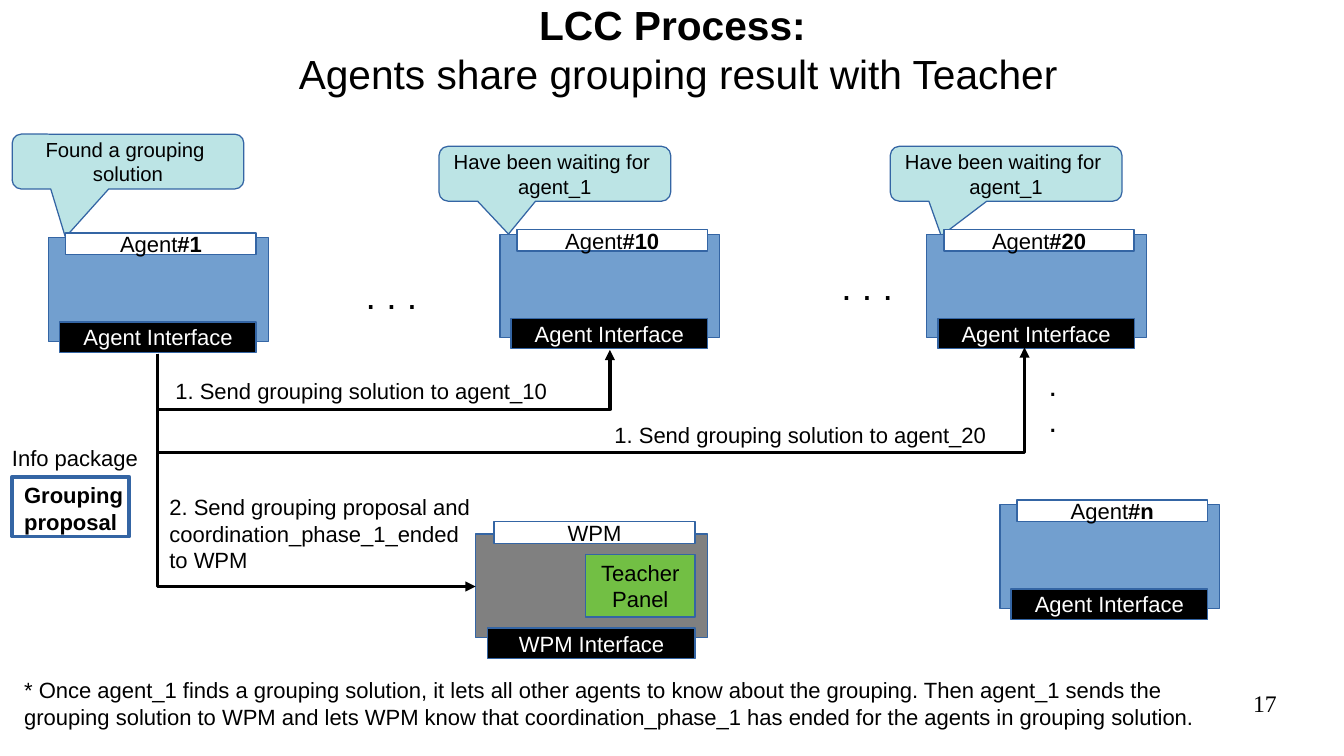
from dataclasses import dataclass

from lxml import etree
from pptx import Presentation
from pptx import util as u
from pptx.dml.color import RGBColor
from pptx.enum import shapes, text
from pptx.oxml import ns

I = u.Inches
SHAPE, ALIGN, ANCHOR = shapes.MSO_SHAPE, text.PP_ALIGN, text.MSO_ANCHOR


@dataclass(frozen=True)
class Theme:
    """Colours, fonts and type sizes of the slide."""
    ink: str = "000000"
    paper: str = "FFFFFF"
    outline: str = "3465A4"
    agent: str = "729FCF"
    bubble: str = "BCE4E5"
    wpm: str = "808080"
    panel: str = "72BF44"
    font: str = "Arial"
    number_font: str = "Times New Roman"
    title: int = 24
    dots: int = 22
    side_dots: int = 18
    number: int = 14
    body: int = 13
    bubble_text: int = 12


T = Theme()


def write(tf, content, size=T.body, color=T.ink, font=T.font, bold=False,
          align=ALIGN.LEFT, **frame):
    """Fill a text frame, one paragraph per line; a line may be (text, bold) runs."""
    for name, value in {"auto_size": text.MSO_AUTO_SIZE.NONE, "word_wrap": True, **frame}.items():
        setattr(tf, name, value)
    lines = content.split("\n") if isinstance(content, str) else content
    for i, line in enumerate(lines):
        p = tf.paragraphs[0] if i == 0 else tf.add_paragraph()
        p.alignment = align
        for words, strong in [(line, bold)] if isinstance(line, str) else line:
            r = p.add_run()
            r.text = words
            for name, value in {"name": font, "size": u.Pt(size), "bold": strong}.items():
                setattr(r.font, name, value)
            r.font.color.rgb = RGBColor.from_string(color)


def label(s, box, content, **style):
    """Add a plain text box."""
    write(s.shapes.add_textbox(*map(I, box)).text_frame, content, **style)


def block(s, box, fill, content=None, kind=SHAPE.RECTANGLE, weight=0, **style):
    """Add an outlined shape with optional centred text."""
    sp = s.shapes.add_shape(kind, *map(I, box))
    sp.shadow.inherit = False
    sp.fill.solid()
    sp.fill.fore_color.rgb = RGBColor.from_string(fill)
    sp.line.color.rgb = RGBColor.from_string(T.outline)
    sp.line.width = u.Pt(weight)
    if content:
        write(sp.text_frame, content, align=ALIGN.CENTER, word_wrap=False,
              vertical_anchor=ANCHOR.MIDDLE, **style)
    return sp


def route(s, start, end, low=None):
    """Draw an elbow arrow leaving downwards; low is the level of a U-shaped turn."""
    (x1, y1), (x2, y2) = start, end
    cx, cy, run, rise = (x1 + x2) / 2, (y1 + y2) / 2, x2 - x1, abs(y2 - y1)
    tilt = run / 2 if low else -run / 2
    ends = cx + rise / 2, cy + tilt, cx - rise / 2, cy - tilt
    line = s.shapes.add_connector(shapes.MSO_CONNECTOR.ELBOW, *map(I, ends))
    line.line.color.rgb = RGBColor.from_string(T.ink)
    line.line.width = u.Pt(0)
    props = line._element.spPr
    props.find(ns.qn("a:xfrm")).set("rot", str((90 if low else 270) * 60000))
    geometry = props.find(ns.qn("a:prstGeom"))
    if low:
        guides = geometry.find(ns.qn("a:avLst"))
        if guides is None:
            guides = etree.SubElement(geometry, ns.qn("a:avLst"))
        turn = round((y1 - low) / rise * 100000)
        etree.SubElement(guides, ns.qn("a:gd"), name="adj1", fmla=f"val {turn}")
    else:
        geometry.set("prst", "bentConnector2")
    etree.SubElement(props.find(ns.qn("a:ln")), ns.qn("a:tailEnd"), type="triangle")
    etree.SubElement(props, ns.qn("a:effectLst"))


def heading(s, box):
    """Place the two-line title."""
    title = s.shapes.title
    for name, value in zip(("left", "top", "width", "height"), box):
        setattr(title, name, I(value))
    write(title.text_frame, [[("LCC Process: ", True)],
                             "Agents share grouping result with Teacher"],
          size=T.title, align=ALIGN.CENTER, vertical_anchor=ANCHOR.MIDDLE,
          margin_left=0, margin_right=0, margin_top=0, margin_bottom=0)


def bubble(s, box, content, tip):
    """Add a speech bubble whose tip is a fraction of its size from its centre."""
    sp = block(s, box, T.bubble, content, SHAPE.ROUNDED_RECTANGULAR_CALLOUT, size=T.bubble_text)
    sp.adjustments[0], sp.adjustments[1] = tip


def agent(s, box, number):
    """Add an agent with its name strip and interface bar."""
    x, y, w, h = box
    block(s, box, T.agent)
    block(s, (x + .14, y - .04, w - .24, .18), T.paper, [[("Agent", False), (number, True)]])
    block(s, (x + .09, y + h - .16, w - .19, .25), T.ink, "Agent Interface", color=T.paper)


def wpm(s, box):
    """Add the WPM with its name strip, teacher panel and interface bar."""
    x, y, w, h = box
    block(s, box, T.wpm)
    block(s, (x + .15, y - .1, w - .25, .18), T.paper, "WPM")
    block(s, (x + w - 1, y + .17, .9, .51), T.panel, "Teacher\nPanel")
    block(s, (x + .1, y + h - .08, w - .2, .25), T.ink, "WPM Interface", color=T.paper)


def info_package(s, box):
    """Add the captioned package that is sent."""
    x, y, w, h = box
    block(s, box, T.paper, weight=2.3)
    label(s, (x, y - .01, w + .2, h), "Grouping\nproposal", bold=True)
    label(s, (x - .1, y - .31, w + .4, .3), "Info package")


def messages(s, source):
    """Draw the message routes from the first agent's interface and their captions."""
    x, y = source
    route(s, source, (3.9, 4.81))
    route(s, source, (8.4, 2.85), low=3.71)
    route(s, source, (5, 2.87), low=3.36)
    label(s, (x + .05, y + .15, 4.53, .3), "1. Send grouping solution to agent_10")
    label(s, (x + 3.65, y + .51, 4.53, .3), "1. Send grouping solution to agent_20")
    label(s, (x, y + 1.1, 2.71, .7),
          "2. Send grouping proposal and\ncoordination_phase_1_ended\nto WPM")


def footer(s, box):
    """Add the footnote and the page number."""
    x, y, w, h = box
    label(s, box, "* Once agent_1 finds a grouping solution, it lets all other agents to know "
          "about the grouping. Then agent_1 sends the\ngrouping solution to WPM and lets WPM know "
          "that coordination_phase_1 has ended for the agents in grouping solution.")
    label(s, (x + w - 3.12, y + .15, 2.57, .43), "17", size=T.number, font=T.number_font,
          align=ALIGN.RIGHT, margin_left=0, margin_right=0, margin_top=0, margin_bottom=0)


def main():
    """Build and save the slide."""
    prs = Presentation()
    prs.slide_width, prs.slide_height = I(11.02), I(6.2)
    s = prs.slides.add_slide(prs.slide_layouts[5])
    heading(s, (.6, 0, 9.92, .8))
    waiting = "Have been waiting for \nagent_1"
    for x, y, content, tip in ((.1, 1.1, "Found a grouping \nsolution", (-.27, 1.38)),
                               (3.6, 1.2, waiting, (-.2, 1.1)),
                               (7.3, 1.2, waiting, (-.28, 1.13))):
        bubble(s, (x, y, 1.9, .45), content, tip)
    wpm(s, (3.9, 4.38, 1.9, .85))
    info_package(s, (.1, 3.91, .96, .49))
    for x, y, number in ((.4, 1.95, "#1"), (4.1, 1.92, "#10"),
                         (7.6, 1.92, "#20"), (8.2, 4.14, "#n")):
        agent(s, (x, y, 1.8, .85), number)
    for x, y in ((2.9, 2.18), (6.8, 2.11)):
        label(s, (x, y, .7, .58), ". . .", size=T.dots)
    label(s, (8.5, 2.95, .27, .66), ".\n.", size=T.side_dots)
    messages(s, (1.29, 2.9))
    footer(s, (.1, 5.5, 10.92, .5))
    prs.save("out.pptx")


main()
